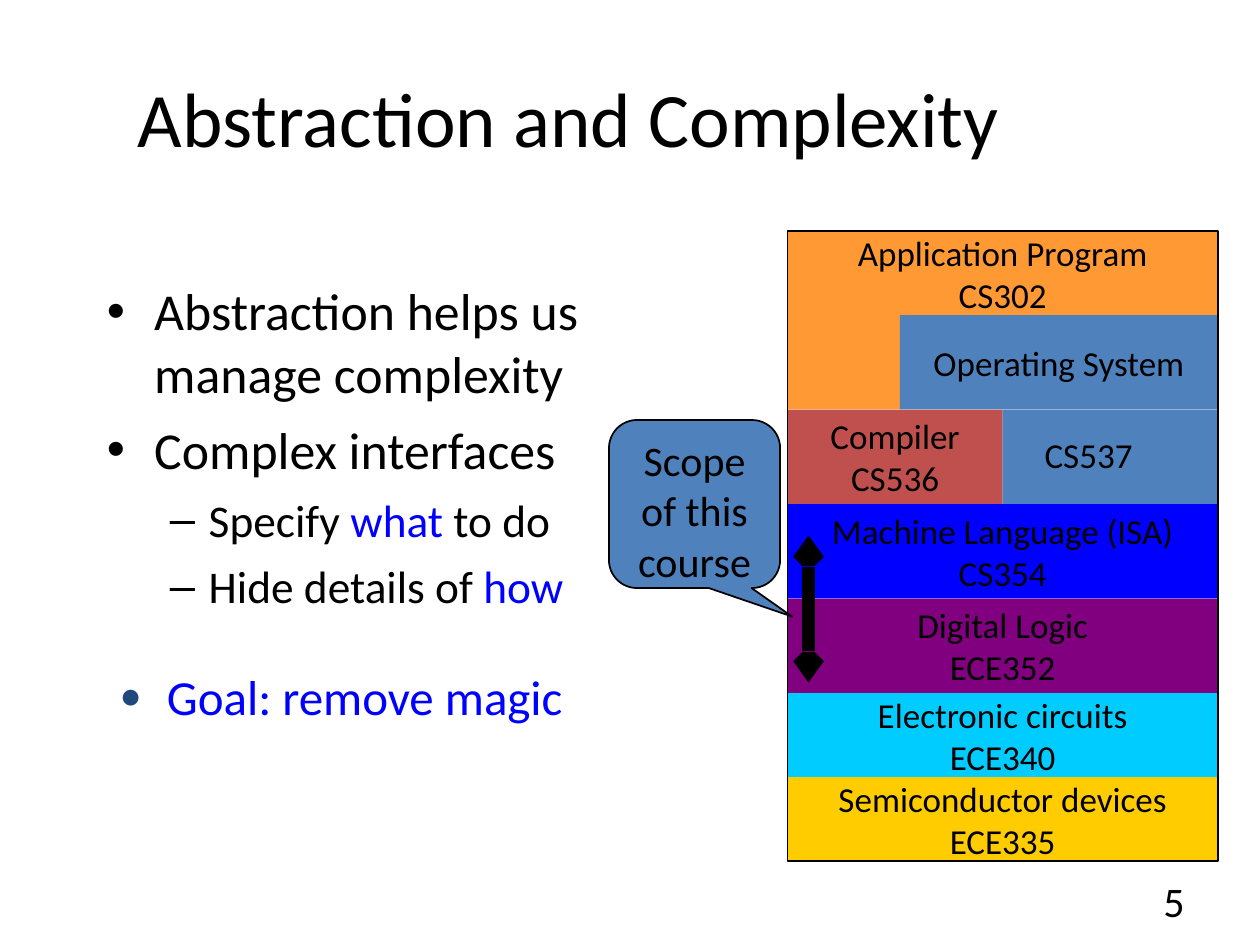
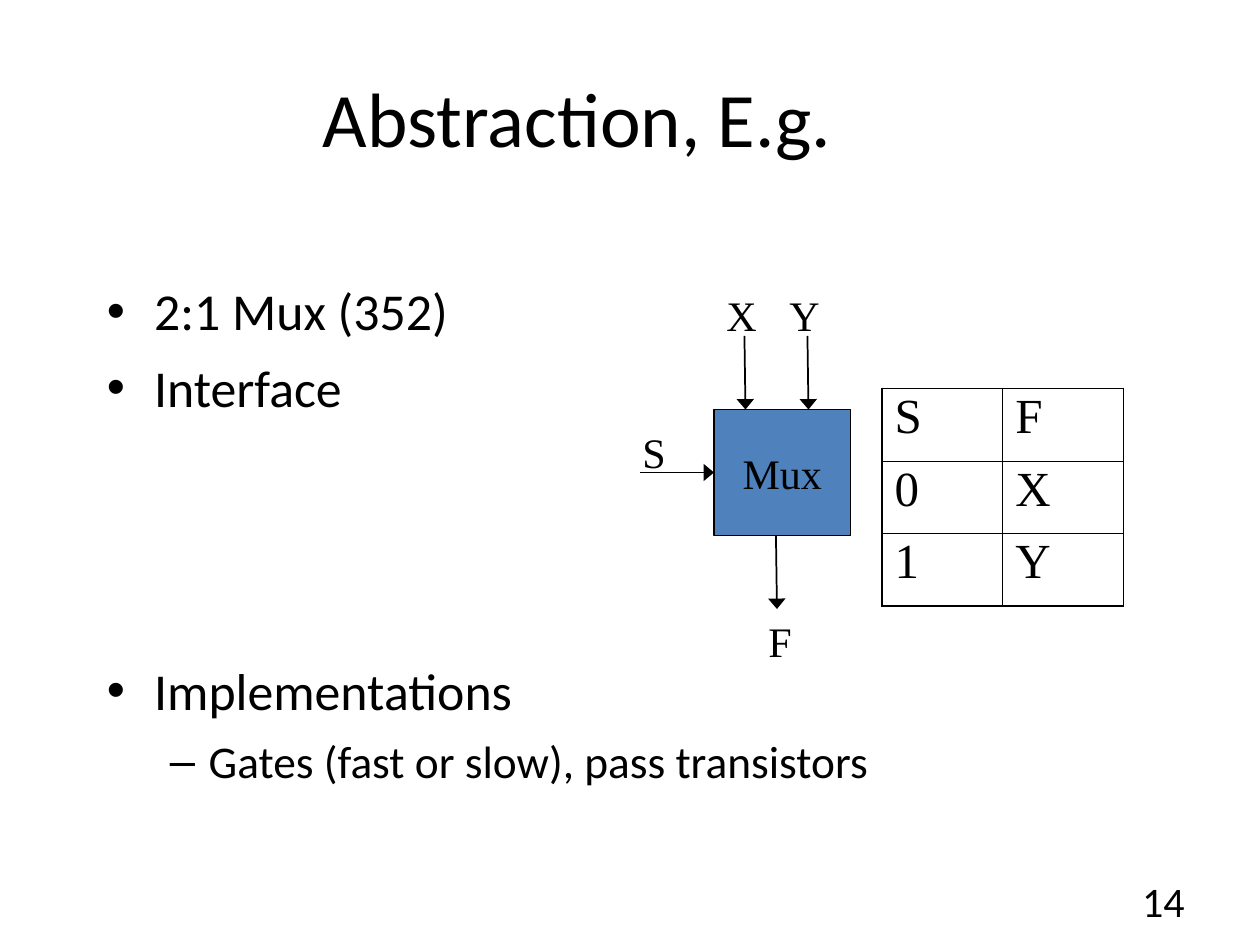
from lxml.etree import SubElement
from pptx import Presentation
from pptx.dml.color import RGBColor
from pptx.enum.shapes import MSO_CONNECTOR as CONNECTOR, MSO_SHAPE as SHAPE
from pptx.enum.text import MSO_ANCHOR as ANCHOR, PP_ALIGN as ALIGN
from pptx.oxml.ns import qn
from pptx.util import Pt

PX = 7620
BLACK, BLUE, STEEL, ORANGE = "000000", "0000FF", "4F81BD", "FF9933"
SERIF = "Times New Roman"
color = RGBColor.from_string


def write(frame, text, size=24, font="Calibri", fill=BLACK, align=ALIGN.LEFT,
          accent=None, bullet=None, bullet_fill=BLACK, bullet_size=100,
          margin=0, hanging=0, before=0, spacing=None):
    paragraph = frame.paragraphs[0] if not frame.text else frame.add_paragraph()
    paragraph.alignment = align
    if bullet:
        properties = paragraph._p.get_or_add_pPr()
        properties.set("marL", str(margin * PX))
        properties.set("indent", str(-hanging * PX))
        SubElement(SubElement(properties, qn("a:buClr")), qn("a:srgbClr"), val=bullet_fill)
        SubElement(properties, qn("a:buSzPct"), val=str(bullet_size * 1000))
        SubElement(properties, qn("a:buFont"), typeface="Arial")
        SubElement(properties, qn("a:buChar"), char=bullet)
    if before:
        paragraph.space_before = Pt(before)
    if spacing:
        paragraph.line_spacing = spacing
    for part in text.partition(accent) if accent else [text]:
        if part:
            run = paragraph.add_run()
            run.text = part
            run.font.size = Pt(size)
            run.font.name = font
            run.font.color.rgb = color(BLUE if part == accent else fill)


def draw_arrow(slide, start, end, weight, ends):
    x1, y1, x2, y2 = (value * PX for value in start + end)
    arrow = slide.shapes.add_connector(CONNECTOR.STRAIGHT, x1, y1, x2, y2)
    arrow.line.color.rgb = color(BLACK)
    arrow.line.width = Pt(weight)
    outline = arrow.line._get_or_add_ln()
    for tag, kind, width, length in ends:
        SubElement(outline, qn(tag), type=kind, w=width, len=length)
    SubElement(arrow._element.spPr, qn("a:effectLst"))


presentation = Presentation()
presentation.slide_width = 1200 * PX
presentation.slide_height = 900 * PX

first = dict(size=29.6, bullet="•", margin=45, hanging=45)
second = dict(size=25.9, bullet="–", margin=97, hanging=37, before=7)
pages = [
    ("Abstraction and Complexity ", "5", 570, 340, [
        ("Abstraction helps us manage complexity", first),
        ("Complex interfaces", first | {"before": 8}),
        ("Specify what to do", second | {"accent": "what"}),
        ("Hide details of how", second | {"accent": "how"}),
    ]),
    ("Abstraction, E.g.", "14", 1020, 490, [
        ("2:1 Mux (352)", first),
        ("Interface", first | {"before": 8}),
        ("Implementations", first | {"before": 138}),
        ("Gates (fast or slow), pass transistors", second),
    ]),
]
slides = []
for title_text, number, width, height, points in pages:
    slide = presentation.slides.add_slide(presentation.slide_layouts[5])
    slides.append(slide)
    title = slide.shapes.title
    title.left, title.top, title.width, title.height = 60 * PX, 36 * PX, 980 * PX, 150 * PX
    title.text_frame.vertical_anchor = ANCHOR.MIDDLE
    write(title.text_frame, title_text, size=44, align=ALIGN.CENTER)

    body = slide.shapes.add_textbox(90 * PX, 260 * PX, width * PX, height * PX).text_frame
    body.word_wrap = True
    for text, style in points:
        write(body, text, **style)

    footer = slide.shapes.add_textbox(1000 * PX, 834 * PX, 140 * PX, 48 * PX).text_frame
    footer.word_wrap = True
    footer.vertical_anchor = ANCHOR.MIDDLE
    write(footer, number, align=ALIGN.RIGHT)

layers, mux = slides

goal = layers.shapes.add_textbox(90 * PX, 640 * PX, 570 * PX, 70 * PX).text_frame
goal.word_wrap = True
goal.margin_left = goal.margin_right = 24 * PX
write(goal, "Goal: remove magic", size=28, fill=BLUE, bullet="●", bullet_fill="1F497D",
      bullet_size=75, margin=45, hanging=45, spacing=0.8)

label = dict(size=20, align=ALIGN.CENTER)
large = dict(size=24, align=ALIGN.CENTER)
boxes = [
    (layers, 750, 740, 410, 80, "FFCC00", ["Semiconductor devices", "ECE335"], label),
    (layers, 750, 660, 410, 80, "00CCFF", ["Electronic circuits", "ECE340"], label),
    (layers, 750, 570, 410, 90, "800080", ["Digital Logic", "ECE352"], label),
    (layers, 750, 480, 410, 90, BLUE, ["Machine Language (ISA)", "CS354"], label),
    (layers, 750, 390, 205, 90, "C0504D", ["Compiler", "CS536"], label),
    (layers, 750, 220, 410, 80, ORANGE, ["Application Program", "CS302"], label),
    (layers, 750, 300, 107, 90, ORANGE, [], label),
    (layers, 857, 300, 303, 90, STEEL, ["Operating System"], label),
    (layers, 955, 390, 205, 90, STEEL, [], label),
    (layers, 750, 220, 410, 600, None, [], label),
    (layers, 580, 400, 163, 160, STEEL, ["Scope of this", "course"], large),
    (mux, 680, 390, 130, 120, STEEL, ["Mux"], large | {"font": SERIF}),
]
for slide, x, y, width, height, fill, lines, style in boxes:
    is_callout = "course" in lines
    kind = SHAPE.ROUNDED_RECTANGULAR_CALLOUT if is_callout else SHAPE.RECTANGLE
    shape = slide.shapes.add_shape(kind, x * PX, y * PX, width * PX, height * PX)
    shape.shadow.inherit = False
    if fill:
        shape.fill.solid()
        shape.fill.fore_color.rgb = color(fill)
    else:
        shape.fill.background()
    if fill is None or style["size"] == 24:
        shape.line.color.rgb = color(BLACK)
        shape.line.width = Pt(1)
    else:
        shape.line.fill.background()
    if is_callout:
        shape.adjustments[0], shape.adjustments[1] = 0.57, 0.67
    shape.text_frame.word_wrap = is_callout
    shape.text_frame.vertical_anchor = ANCHOR.TOP if is_callout else ANCHOR.MIDDLE
    for line in lines:
        write(shape.text_frame, line, **style)

labels = [
    (layers, "CS537", 983, 407, 108, 53, dict(size=20)),
    (mux, "S", 600, 400, 46, 60, dict(font=SERIF)),
    (mux, "X", 680, 270, 53, 60, dict(font=SERIF)),
    (mux, "Y", 740, 270, 53, 60, dict(font=SERIF)),
    (mux, "F", 720, 580, 46, 60, dict(font=SERIF)),
]
for slide, text, x, y, width, height, style in labels:
    box = slide.shapes.add_textbox(x * PX, y * PX, width * PX, height * PX)
    write(box.text_frame, text, **style)

scope_ends = [(tag, "arrow", "sm", "sm") for tag in ("a:headEnd", "a:tailEnd")]
draw_arrow(layers, (770, 510), (770, 650), 7, scope_ends)
signals = [
    ((610, 450), (680, 450)),
    ((709, 320), (710, 390)),
    ((769, 320), (770, 390)),
    ((739, 510), (740, 580)),
]
for start, end in signals:
    draw_arrow(mux, start, end, 1, [("a:tailEnd", "triangle", "lg", "med")])

truth_rows = [("S", "F"), ("0", "X"), ("1", "Y")]
table = mux.shapes.add_table(3, 2, 840 * PX, 370 * PX, 230 * PX, 207 * PX).table
table.first_row = table.horz_banding = False
for row, values in enumerate(truth_rows):
    table.rows[row].height = 69 * PX
    for column, value in enumerate(values):
        cell = table.cell(row, column)
        cell.margin_left = cell.margin_right = 12 * PX
        cell.margin_top = cell.margin_bottom = 6 * PX
        properties = cell._tc.get_or_add_tcPr()
        edges = {"L": column == 0, "R": column == 1, "T": row == 0, "B": row == 2}
        for side, is_outer in edges.items():
            border = SubElement(properties, qn("a:ln" + side),
                                w=str(Pt(1.08 if is_outer else 0.45)))
            SubElement(SubElement(border, qn("a:solidFill")), qn("a:srgbClr"), val=BLACK)
        cell.fill.background()
        write(cell.text_frame, value, size=28, font=SERIF, spacing=0.9)

presentation.save("out.pptx")
